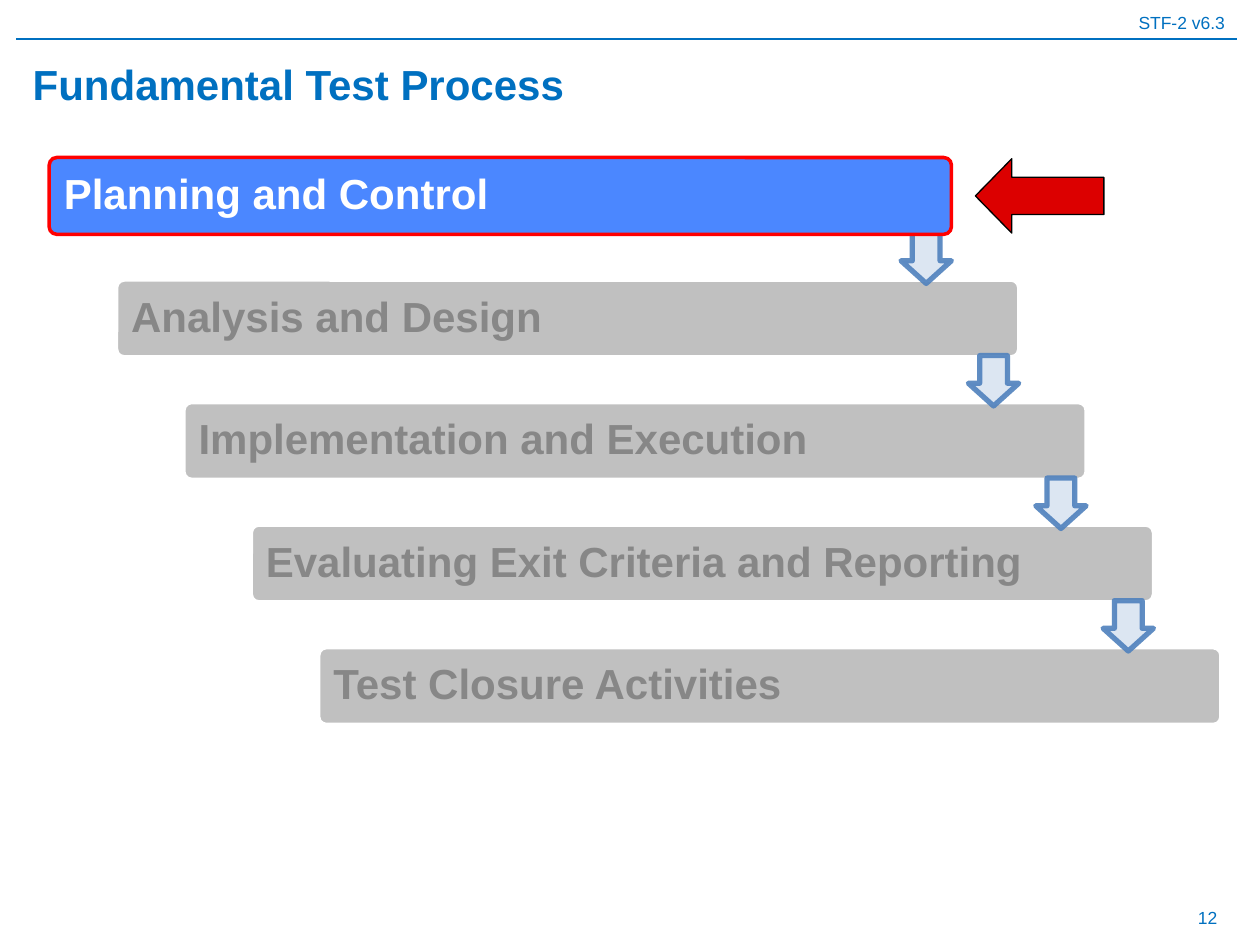
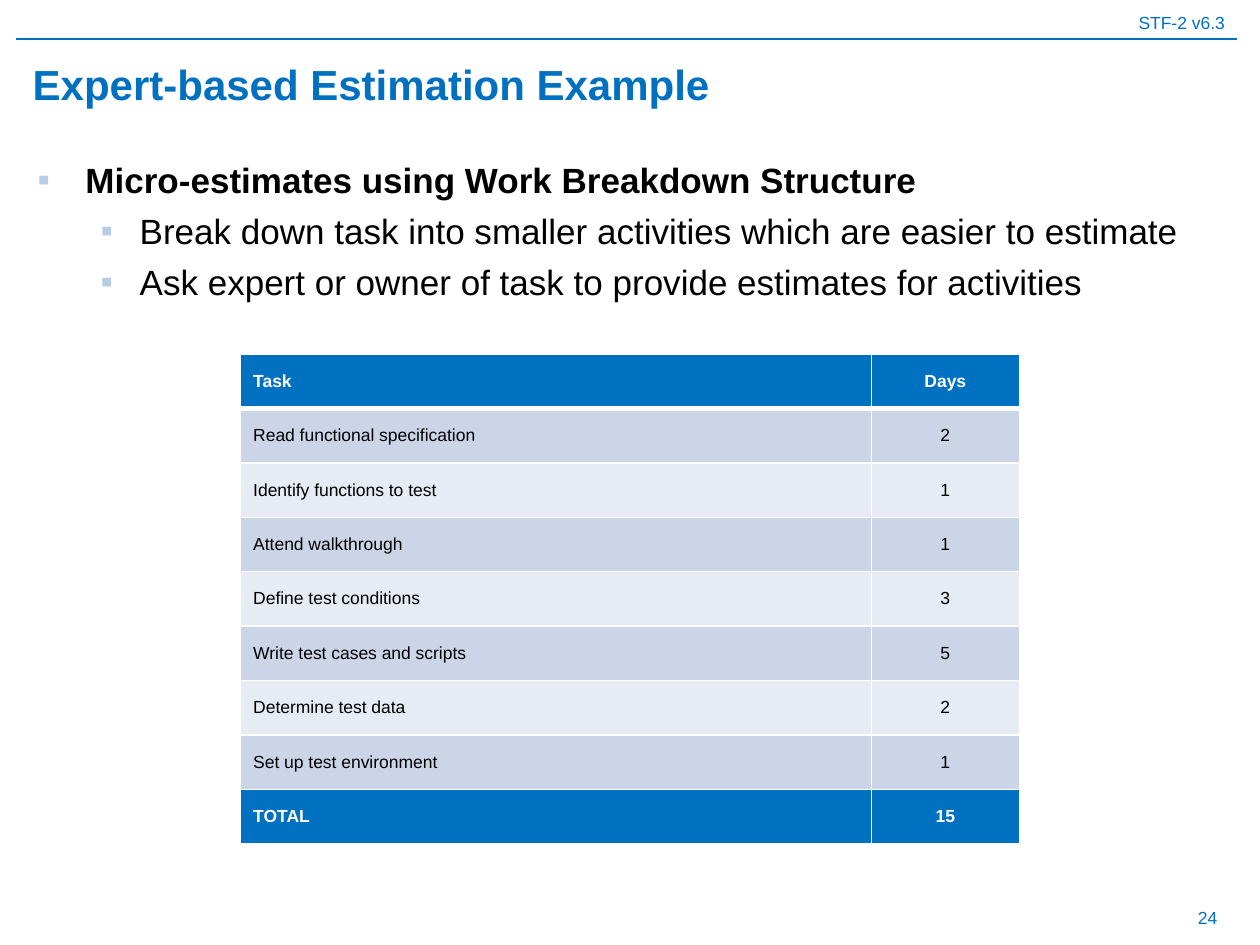
from dataclasses import dataclass

import lxml.etree
import pptx
import pptx.dml.color
import pptx.enum.shapes
import pptx.enum.text
import pptx.oxml.ns
import pptx.util

Pt = pptx.util.Pt
RGBColor = pptx.dml.color.RGBColor
MSO_SHAPE = pptx.enum.shapes.MSO_SHAPE
PP_ALIGN = pptx.enum.text.PP_ALIGN
MSO_ANCHOR = pptx.enum.text.MSO_ANCHOR
qn = pptx.oxml.ns.qn

FONT = "Arial"
BLUE = RGBColor(0x00, 0x70, 0xC0)
WHITE = RGBColor(0xFF, 0xFF, 0xFF)
BLACK = RGBColor(0x00, 0x00, 0x00)
STEP_GREY = RGBColor(0xC0, 0xC0, 0xC0)
STEP_TEXT = RGBColor(0x87, 0x87, 0x87)
CURRENT_BLUE = RGBColor(0x4B, 0x87, 0xFF)
CURRENT_RED = RGBColor(0xFF, 0x00, 0x00)
POINTER_RED = RGBColor(0xDC, 0x00, 0x00)
ARROW_FILL = RGBColor(0xDC, 0xE6, 0xF2)
ARROW_LINE = RGBColor(0x4F, 0x81, 0xBD)
BULLET_BLUE = "B8CCE4"
BAND_DARK = RGBColor(0xCC, 0xD5, 0xE8)
BAND_LIGHT = RGBColor(0xE7, 0xEB, 0xF4)

# The slide is a grid of 100 columns and 75 rows of square cells.
CELL = pptx.util.Inches(0.1)
COLUMNS, ROWS = 100, 75


@dataclass
class Box:
    """An area in grid cells."""
    left: float
    top: float
    width: float
    height: float

    @property
    def right(self):
        return self.left + self.width

    @property
    def bottom(self):
        return self.top + self.height

    def lengths(self):
        cells = (self.left, self.top, self.width, self.height)
        return [round(value * CELL) for value in cells]


HEADER = Box(0, 0.4, 97.2, 2.7)
TITLE = Box(1.6, 3.9, 96.1, 5.5)
PAGE_NUMBER = Box(74.3, 70.9, 23.3, 3.9)
WATERFALL = Box(3.9, 12.5, 93, 45)
BODY = Box(2, 12.1, 96.5, 15)
ESTIMATES = Box(19.1, 28.1, 61.8, 38.9)


def add_run(paragraph, text, size, color, bold=False):
    run = paragraph.add_run()
    run.text = text
    run.font.name = FONT
    run.font.size = Pt(size)
    run.font.bold = bold
    run.font.color.rgb = color


def add_shape(slide, preset, box, fill, line, line_width, adjustments):
    shape = slide.shapes.add_shape(preset, *box.lengths())
    shape.shadow.inherit = False
    shape.fill.solid()
    shape.fill.fore_color.rgb = fill
    shape.line.color.rgb = line
    shape.line.width = Pt(line_width)
    for index, value in enumerate(adjustments):
        shape.adjustments[index] = value
    return shape


def add_text_frame(slide, box):
    frame = slide.shapes.add_textbox(*box.lengths()).text_frame
    frame.word_wrap = True
    return frame


def add_small_label(slide, box, text, inset=0.1):
    """Right-aligned text for the header and the page number."""
    frame = add_text_frame(slide, box)
    frame.margin_right = pptx.util.Inches(inset)
    frame.vertical_anchor = MSO_ANCHOR.MIDDLE
    paragraph = frame.paragraphs[0]
    paragraph.alignment = PP_ALIGN.RIGHT
    add_run(paragraph, text, 10, BLUE)


def add_header_rule(slide, box):
    left, _, width, _ = Box(1.3, 0, 96.9, 0).lengths()
    y = round(box.bottom * CELL)
    rule = slide.shapes.add_connector(
        pptx.enum.shapes.MSO_CONNECTOR.STRAIGHT, left, y, left + width, y)
    rule.line.color.rgb = BLUE
    rule.line.width = Pt(0.75)
    lxml.etree.SubElement(rule._element.spPr, qn("a:effectLst"))


def add_title(slide, box, text):
    title = slide.shapes.title
    title.left, title.top, title.width, title.height = box.lengths()
    frame = title.text_frame
    frame.auto_size = pptx.enum.text.MSO_AUTO_SIZE.NONE
    frame.vertical_anchor = MSO_ANCHOR.MIDDLE
    frame.paragraphs[0].alignment = PP_ALIGN.LEFT
    add_run(frame.paragraphs[0], text, 24, BLUE, bold=True)


def add_base_slide(presentation, title, number):
    slide = presentation.slides.add_slide(presentation.slide_layouts[5])
    add_small_label(slide, HEADER, "STF-2 v6.3", inset=0)
    add_header_rule(slide, HEADER)
    add_small_label(slide, PAGE_NUMBER, str(number))
    add_title(slide, TITLE, title)
    return slide


def add_step(slide, box, text, current):
    fill, line, color = ((CURRENT_BLUE, CURRENT_RED, WHITE) if current
                         else (STEP_GREY, WHITE, STEP_TEXT))
    step = add_shape(slide, MSO_SHAPE.ROUNDED_RECTANGLE, box, fill, line, 2, [0.1])
    frame = step.text_frame
    frame.word_wrap = True
    frame.margin_left = frame.margin_right = pptx.util.Inches(0.1)
    frame.vertical_anchor = MSO_ANCHOR.MIDDLE
    paragraph = frame.paragraphs[0]
    paragraph.alignment = PP_ALIGN.LEFT
    paragraph.line_spacing = 0.9
    add_run(paragraph, text, 24, color, bold=True)


def add_step_arrow(slide, step_box):
    """Down arrow hanging from the lower right corner of a step."""
    size = 4
    box = Box(step_box.right - size, step_box.bottom - 0.1, size, size)
    arrow = add_shape(slide, MSO_SHAPE.DOWN_ARROW, box, ARROW_FILL, ARROW_LINE,
                      3, [0.55, 0.45])
    color = arrow.line._ln.find(".//" + qn("a:srgbClr"))
    lxml.etree.SubElement(color, qn("a:alpha")).set("val", "90000")


def add_waterfall(slide, box, steps):
    """Equal steps running diagonally through the box, the first one current."""
    width, height = box.width * 0.77, 6.1
    shift = (box.width - width) / (len(steps) - 1)
    drop = (box.height - height) / (len(steps) - 1)
    boxes = [Box(box.left + index * shift, box.top + index * drop, width, height)
             for index in range(len(steps))]
    for text, step_box in list(zip(steps, boxes))[1:]:
        add_step(slide, step_box, text, current=False)
    for step_box in boxes[:-1]:
        add_step_arrow(slide, step_box)
    add_step(slide, boxes[0], steps[0], current=True)
    pointer = Box(boxes[0].right + 1.9, box.top + 0.1, 10.2, 5.9)
    add_shape(slide, MSO_SHAPE.LEFT_ARROW, pointer, POINTER_RED, BLACK, 0.75,
              [0.5, 0.49])


def set_bullet(paragraph, margin, hanging):
    properties = paragraph._p.get_or_add_pPr()
    properties.set("marL", str(pptx.util.Inches(margin)))
    properties.set("indent", str(-pptx.util.Inches(hanging)))
    color = lxml.etree.SubElement(properties, qn("a:buClr"))
    lxml.etree.SubElement(color, qn("a:srgbClr")).set("val", BULLET_BLUE)
    lxml.etree.SubElement(properties, qn("a:buFont")).set("typeface", FONT)
    lxml.etree.SubElement(properties, qn("a:buChar")).set("char", "▪")


def add_bullets(slide, box, heading, points):
    frame = add_text_frame(slide, box)
    add_run(frame.paragraphs[0], heading, 20, BLACK, bold=True)
    set_bullet(frame.paragraphs[0], 0.38, 0.38)
    for point in points:
        paragraph = frame.add_paragraph()
        paragraph.level = 1
        paragraph.space_before = Pt(5)
        set_bullet(paragraph, 0.81, 0.31)
        add_run(paragraph, point, 20, BLACK)


def set_cell_borders(cell, top, bottom):
    properties = cell._tc.get_or_add_tcPr()
    for side, width in (("L", 1), ("R", 1), ("T", top), ("B", bottom)):
        line = lxml.etree.SubElement(properties, qn("a:ln" + side))
        line.set("w", str(Pt(width)))
        fill = lxml.etree.SubElement(line, qn("a:solidFill"))
        lxml.etree.SubElement(fill, qn("a:srgbClr")).set("val", str(WHITE))


def add_estimates_table(slide, box, rows):
    """Table whose first and last rows are emphasised."""
    left, top, width, height = box.lengths()
    table = slide.shapes.add_table(len(rows), 2, left, top, width, height).table
    table.columns[0].width = round(width * 0.81)
    table.columns[1].width = width - table.columns[0].width
    for row_index, row in enumerate(rows):
        table.rows[row_index].height = height // len(rows)
        strong = row_index in (0, len(rows) - 1)
        band = BAND_DARK if row_index % 2 else BAND_LIGHT
        for column_index, value in enumerate(row):
            cell = table.cell(row_index, column_index)
            set_cell_borders(cell, top=3 if row_index == 1 else 1,
                             bottom=3 if row_index == 0 else 1)
            cell.fill.solid()
            cell.fill.fore_color.rgb = BLUE if strong else band
            cell.vertical_anchor = MSO_ANCHOR.MIDDLE
            paragraph = cell.text_frame.paragraphs[0]
            paragraph.alignment = PP_ALIGN.CENTER if column_index else PP_ALIGN.LEFT
            add_run(paragraph, str(value), 10, WHITE if strong else BLACK, strong)


def build_process_slide(presentation):
    slide = add_base_slide(presentation, "Fundamental Test Process", 12)
    add_waterfall(slide, WATERFALL, [
        "Planning and Control",
        "Analysis and Design",
        "Implementation and Execution",
        "Evaluating Exit Criteria and Reporting",
        "Test Closure Activities",
    ])


def build_estimation_slide(presentation):
    slide = add_base_slide(presentation, "Expert-based Estimation Example", 24)
    add_bullets(slide, BODY, "Micro-estimates using Work Breakdown Structure", [
        "Break down task into smaller activities which are easier to estimate",
        "Ask expert or owner of task to provide estimates for activities",
    ])
    tasks = [
        ("Read functional specification", 2),
        ("Identify functions to test", 1),
        ("Attend walkthrough", 1),
        ("Define test conditions", 3),
        ("Write test cases and scripts", 5),
        ("Determine test data", 2),
        ("Set up test environment", 1),
    ]
    total = sum(days for _, days in tasks)
    add_estimates_table(slide, ESTIMATES,
                        [("Task", "Days"), *tasks, ("TOTAL", total)])


def main():
    presentation = pptx.Presentation()
    presentation.slide_width = COLUMNS * CELL
    presentation.slide_height = ROWS * CELL
    build_process_slide(presentation)
    build_estimation_slide(presentation)
    presentation.save("out.pptx")


if __name__ == "__main__":
    main()
